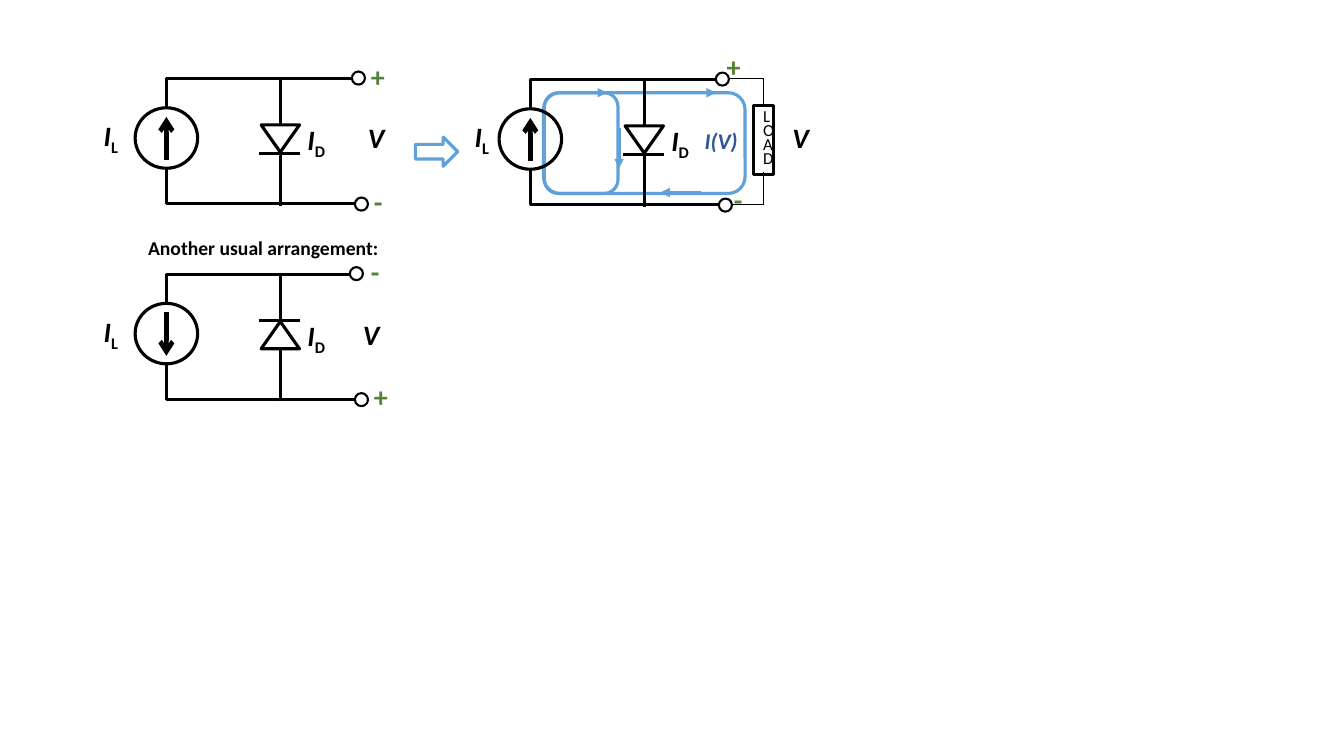
"""Builds a slide of equivalent circuits for a solar cell with and without load."""
import pptx
import pptx.util
import pptx.dml.color
import pptx.enum.shapes
import pptx.enum.text
import pptx.oxml.ns
from lxml import etree

Inches, Pt = pptx.util.Inches, pptx.util.Pt
SHAPE = pptx.enum.shapes.MSO_SHAPE
CONNECTOR = pptx.enum.shapes.MSO_CONNECTOR
qn = pptx.oxml.ns.qn

BLACK, WHITE, GREEN, BLUE, NAVY = "000000", "FFFFFF", "548235", "5FA1D8", "2F5597"

CIRCUITS = [
    {"dx": 0, "dy": 0, "down": True, "top_x": 3.49},
    {"dx": 0, "dy": 1.94, "down": False, "top_x": 3.47},
    {"dx": 3.61, "dy": 0.01, "down": True, "top_x": 3.49},
]
LOOPS = [((5.39, 0.92, 2, 1), 0.167), ((5.4, 0.92, 0.73, 1), 0.189)]
FLOW_ARROWS = [
    (5.62, 0.92, 6.02, 0.92),
    (6.95, 1.91, 6.55, 1.91),
    (6.14, 1.27, 6.14, 1.67),
    (6.7, 0.92, 7.1, 0.92),
]
LOAD = (7.47, 1.05, 0.2, 0.68)
LOAD_WIRES = [(7.23, 0.78, 7.57, 1.05), (7.26, 2.03, 7.57, 1.71)]
CURRENT = (6.89, 1.21, 0.65, 0.37)
CAPTION = (1.37, 2.29, 2.5, 0.34)
LABEL_HEIGHT = 0.44
SYMBOLS = [
    ("I", "L", 0.93, 1.13, 0.56), ("I", "D", 2.95, 1.17, 0.56), ("V", "", 3.55, 1.15, 0.56),
    ("I", "L", 0.93, 3.07, 0.56), ("I", "D", 2.95, 3.11, 0.56), ("V", "", 3.5, 3.1, 0.56),
    ("I", "L", 4.61, 1.14, 0.38), ("I", "D", 6.56, 1.18, 0.56), ("V", "", 7.76, 1.15, 0.4),
]
SIGNS = [
    ("+", 3.58, 0.54, 0.36), ("-", 3.61, 1.78, 0.29),
    ("-", 3.58, 2.48, 0.36), ("+", 3.61, 3.72, 0.29),
    ("+", 7.11, 0.44, 0.36), ("-", 7.18, 1.76, 0.29),
]


def rgb(value):
    return pptx.dml.color.RGBColor.from_string(value)


def add_shape(parent, kind, at, color=BLACK, width=2.25, fill=None, flip=False):
    sp = parent.shapes.add_shape(kind, *map(Inches, at))
    sp.shadow.inherit = False
    if fill:
        sp.fill.solid()
        sp.fill.fore_color.rgb = rgb(fill)
    else:
        sp.fill.background()
    sp.line.color.rgb = rgb(color)
    sp.line.width = Pt(width)
    if flip:
        sp._element.spPr.find(qn("a:xfrm")).set("flipV", "1")
    return sp


def add_line(parent, ends, color=BLACK, width=2.25, head=None, bent=False):
    kind = CONNECTOR.ELBOW if bent else CONNECTOR.STRAIGHT
    cxn = parent.shapes.add_connector(kind, *map(Inches, ends))
    cxn.line.color.rgb = rgb(color)
    cxn.line.width = Pt(width)
    props = cxn._element.spPr
    if bent:
        props.find(qn("a:prstGeom")).set("prst", "bentConnector2")
    if head:
        etree.SubElement(props.find(qn("a:ln")), qn("a:tailEnd"), type=head)
    etree.SubElement(props, qn("a:effectLst"))


def add_run(p, text, size, color, bold=True, italic=False):
    r = p.add_run()
    r.text = text
    r.font.name = "Calibri"
    r.font.size = Pt(size)
    r.font.bold = bold
    r.font.italic = italic
    r.font.color.rgb = rgb(color)
    return r


def add_label(s, at, text, size, color, italic=False, sub="", wrap=True):
    tf = s.shapes.add_textbox(*map(Inches, at)).text_frame
    tf.word_wrap = wrap
    tf.auto_size = pptx.enum.text.MSO_AUTO_SIZE.SHAPE_TO_FIT_TEXT
    p = tf.paragraphs[0]
    add_run(p, text, size, color, italic=italic)
    if sub:
        r = add_run(p, sub, size, color)
        r.font._element.set("baseline", "-25000")


def add_circuit(s, dx, dy, down, top_x):
    def ends(x1, y1, x2, y2):
        return x1 + dx, y1 + dy, x2 + dx, y2 + dy

    def box(x, y, w, h):
        return x + dx, y + dy, w, h

    diode = s.shapes.add_group_shape()
    bar_y = 1.52 if down else 1.24
    add_shape(diode, SHAPE.ISOSCELES_TRIANGLE,
              box(2.59, 1.24 if down else 1.25, 0.38, 0.27), flip=down)
    add_line(diode, ends(2.98, bar_y, 2.57, bar_y))
    for y in (1.14, 1.52):
        add_line(diode, ends(2.78, y, 2.78, y + 0.1))

    source = s.shapes.add_group_shape()
    add_shape(source, SHAPE.OVAL, box(1.34, 1.07, 0.62, 0.6), flip=down)
    tail_y, tip_y = (1.59, 1.16) if down else (1.16, 1.59)
    add_line(source, ends(1.65, tail_y, 1.65, tip_y), width=3.25, head="arrow")
    for y in (0.97, 1.67):
        add_line(source, ends(1.65, y, 1.65, y + 0.1))

    for x, y in ((top_x, 0.775), (3.52, 2.025)):
        terminal = s.shapes.add_group_shape()
        add_shape(terminal, SHAPE.OVAL, box(x, y - 0.065, 0.13, 0.13), width=1.5, fill=WHITE)
        add_line(terminal, ends(x - 0.04, y, x, y), width=1.5)

    add_line(s, ends(top_x, 0.78, 1.65, 0.97), bent=True)
    add_line(s, ends(3.52, 2.02, 1.65, 1.77), bent=True)
    add_line(s, ends(2.78, 1.19, 2.78, 0.77))
    add_line(s, ends(2.78, 2.04, 2.78, 1.57))


def add_load(s):
    sp = add_shape(s, SHAPE.RECTANGLE, LOAD)
    tf = sp.text_frame
    tf.word_wrap = True
    tf.vertical_anchor = pptx.enum.text.MSO_ANCHOR.MIDDLE
    p = tf.paragraphs[0]
    p.alignment = pptx.enum.text.PP_ALIGN.CENTER
    p.line_spacing = Pt(10)
    add_run(p, "LOAD", 12, BLACK, bold=False)
    for wire in LOAD_WIRES:
        add_line(s, wire, width=0.5, bent=True)


def main():
    prs = pptx.Presentation()
    prs.slide_width, prs.slide_height = Inches(13.33), Inches(7.5)
    s = prs.slides.add_slide(prs.slide_layouts[6])

    add_load(s)
    for at, radius in LOOPS:
        add_shape(s, SHAPE.ROUNDED_RECTANGLE, at, BLUE).adjustments[0] = radius
    for arrow in FLOW_ARROWS:
        add_line(s, arrow, BLUE, head="triangle")
    add_shape(s, SHAPE.RIGHT_ARROW, (4.12, 1.36, 0.42, 0.29), BLUE)
    add_label(s, CURRENT, "I(V)", 16, NAVY, italic=True)

    for circuit in CIRCUITS:
        add_circuit(s, **circuit)
    for text, sub, x, y, w in SYMBOLS:
        add_label(s, (x, y, w, LABEL_HEIGHT), text, 20, BLACK, italic=True, sub=sub)
    for text, x, y, w in SIGNS:
        add_label(s, (x, y, w, LABEL_HEIGHT), text, 20, GREEN)
    add_label(s, CAPTION, "Another usual arrangement:", 14, BLACK, wrap=False)

    prs.save("out.pptx")


if __name__ == "__main__":
    main()
